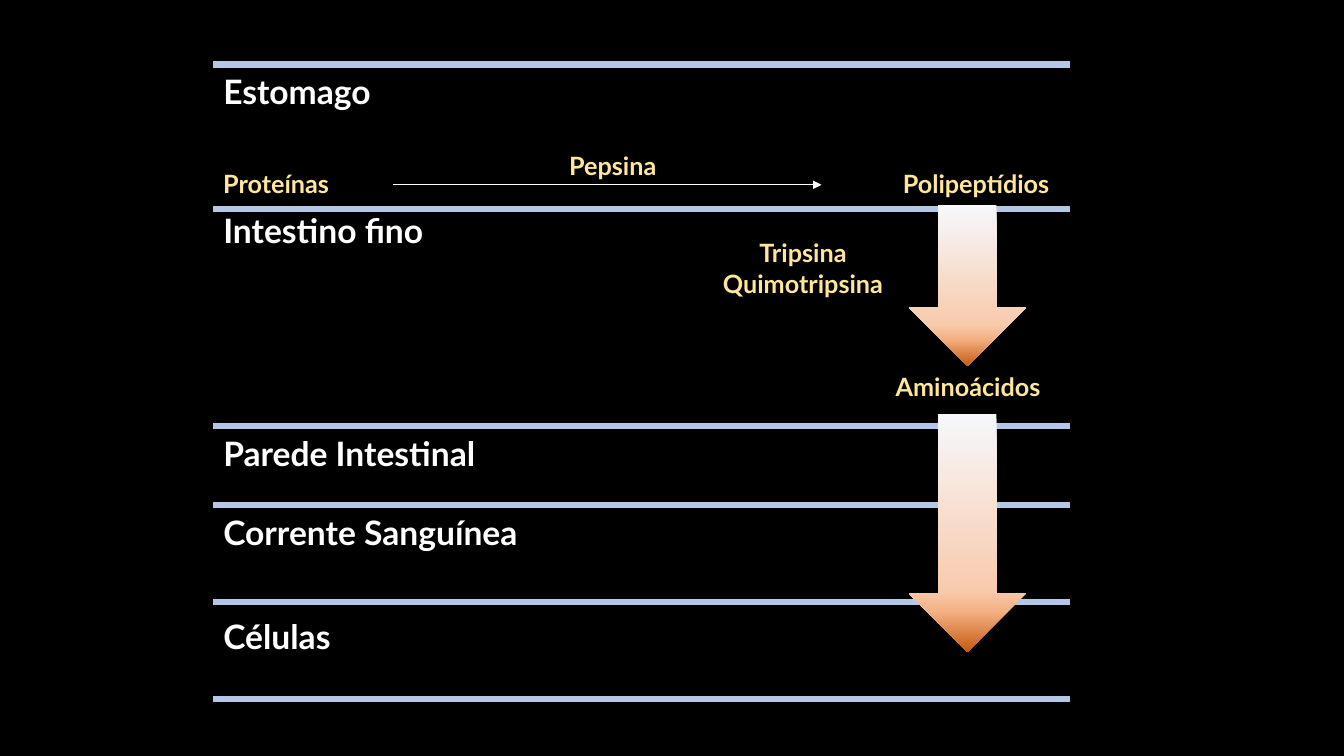
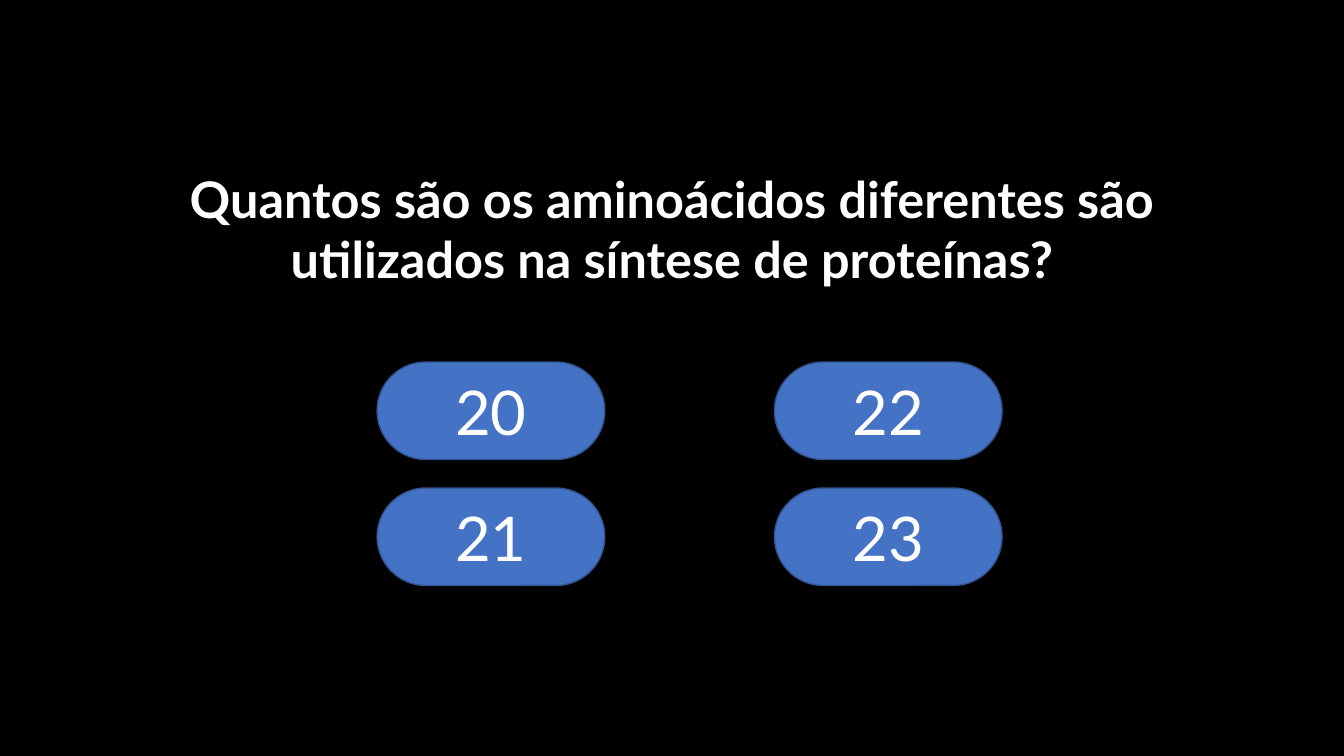
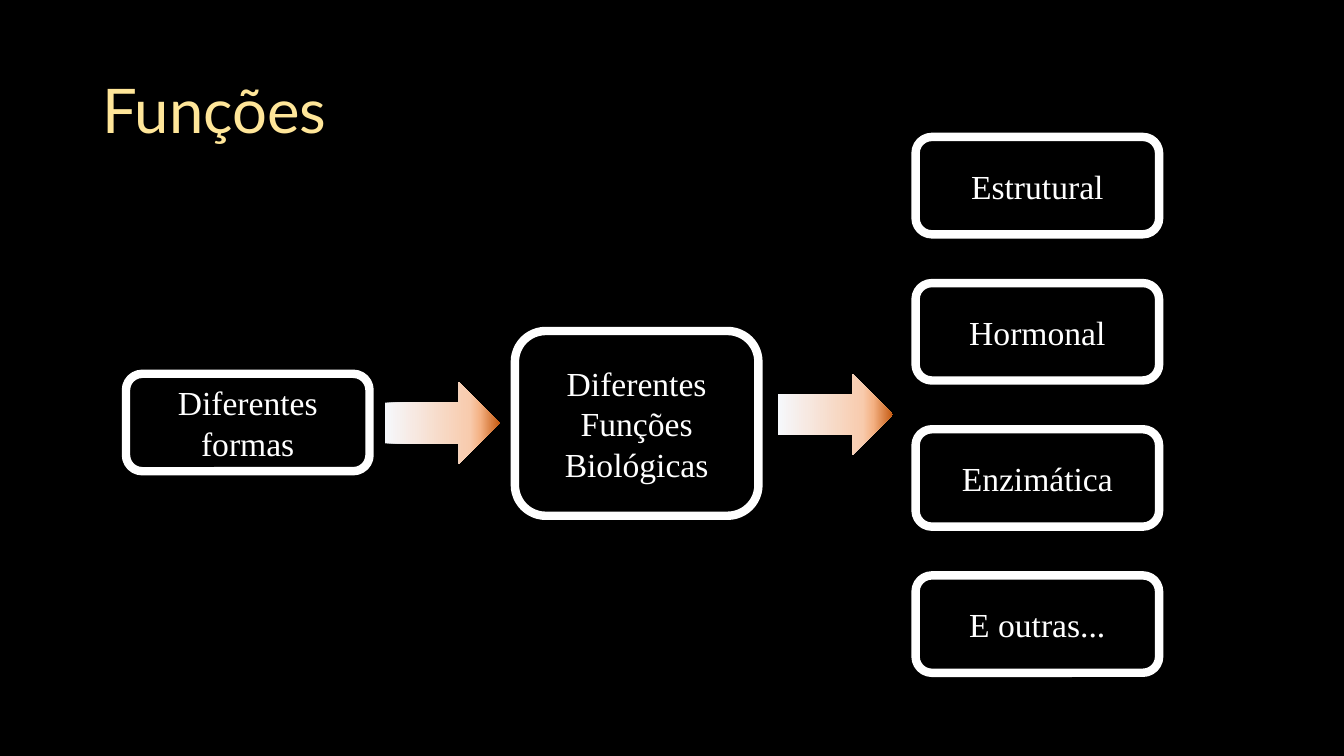
from dataclasses import dataclass
from typing import NamedTuple

from pptx import Presentation
from pptx.dml.color import RGBColor as Rgb
from pptx.enum.shapes import MSO_CONNECTOR as Link, MSO_SHAPE as Form
from pptx.enum.text import MSO_ANCHOR as Anchor, PP_ALIGN as Align
from pptx.oxml import parse_xml
from pptx.oxml.ns import nsdecls, qn
from pptx.util import Emu, Inches, Pt

CELL = Inches(1) // 12  # the slide is a grid of square cells
COLS, ROWS = 160, 90


@dataclass(frozen=True)
class Theme:
    back: str = "000000"
    white: str = "FFFFFF"
    gold: str = "FFE699"
    rule: str = "B4C7E7"
    blue: str = "4472C4"
    edge: str = "325491"
    fade: tuple = ((0, "F6F8FC"), (74, "F8CBAD"), (83, "F4B183"), (100, "C55A11"))
    sans: str = "Lato"
    serif: str = "Times New Roman"
    big: int = 44
    ask: int = 36
    head: int = 24
    note: int = 18


T = Theme()


class Box(NamedTuple):
    """A region of the slide, in grid cells."""
    x: float
    y: float
    w: float
    h: float

    def inner(self, x, y, w, h):
        return Box(self.x + x, self.y + y, w, h)

    def emu(self):
        return [Emu(round(v * CELL)) for v in self]


PAGE = Box(0, 0, COLS, ROWS)


def write(shape, text, size=T.note, color=T.white, font=T.sans, bold=False,
          align=Align.LEFT, anchor=Anchor.TOP, pitch=1.0):
    frame = shape.text_frame
    frame.word_wrap = True
    frame.vertical_anchor = anchor
    frame.text = text
    for para in frame.paragraphs:
        para.alignment = align
        para.line_spacing = pitch
        face = para.font
        face.name, face.size, face.bold = font, Pt(size), bold
        face.color.rgb = Rgb.from_string(color)


def label(slide, box, text, **style):
    write(slide.shapes.add_textbox(*box.emu()), text, **style)


def panel(slide, box, text, fill, edge, width, round_by=None, **style):
    shape = slide.shapes.add_shape(Form.ROUNDED_RECTANGLE, *box.emu())
    shape.shadow.inherit = False
    if round_by is not None:
        shape.adjustments[0] = round_by
    shape.fill.solid()
    shape.fill.fore_color.rgb = Rgb.from_string(fill)
    shape.line.color.rgb = Rgb.from_string(edge)
    shape.line.width = Pt(width)
    write(shape, text, align=Align.CENTER, anchor=Anchor.MIDDLE, **style)


def line(slide, box, color, width, tip=False):
    x, y, w, h = box.emu()
    link = slide.shapes.add_connector(Link.STRAIGHT, x, y, x + w, y + h)
    link.line.color.rgb = Rgb.from_string(color)
    link.line.width = Pt(width)
    props = link._element.spPr
    if tip:
        props.find(qn("a:ln")).append(
            parse_xml(f'<a:tailEnd {nsdecls("a")} type="triangle"/>'))
    props.append(parse_xml(f'<a:effectLst {nsdecls("a")}/>'))


def arrow(slide, box, down=False):
    """Draw a faded block arrow that fills the box, pointing right or down."""
    if down:
        turn = (box.w - box.h) / 2
        box = box.inner(turn, -turn, box.h, box.w)
    shape = slide.shapes.add_shape(Form.RIGHT_ARROW, *box.emu())
    shape.rotation = 90 if down else 0
    shape.shadow.inherit = False
    shape.line.fill.background()
    shape.fill.background()
    stops = "".join(f'<a:gs pos="{at * 1000}"><a:srgbClr val="{color}"/></a:gs>'
                    for at, color in T.fade)
    props = shape._element.spPr
    props.replace(props.find(qn("a:noFill")), parse_xml(
        f'<a:gradFill {nsdecls("a")} rotWithShape="1"><a:gsLst>{stops}</a:gsLst>'
        '<a:lin ang="0" scaled="0"/></a:gradFill>'))


def stages(slide, box):
    """Rule off the organs, with each name under its own rule."""
    rows = ((0, 0.7, "Estomago"), (17.2, 0, "Intestino fino"),
            (43, 0.8, "Parede Intestinal"), (52.4, 0.8, "Corrente Sanguínea"),
            (64, 1.6, "Células"))
    for y, gap, name in rows:
        line(slide, box.inner(0, y, box.w, 0), T.rule, 4.5)
        label(slide, box.inner(0, y + gap, 39, 7), name,
              size=T.head, bold=True, pitch=0.9)
    line(slide, box.inner(0, box.h, box.w, 0), T.rule, 4.5)


def steps(slide, box):
    """Lay the chain of digestion over the organs."""
    arrow(slide, box.inner(82.8, 16.7, 13.9, 19.2), down=True)
    arrow(slide, box.inner(82.8, 41.6, 13.9, 28.3), down=True)
    line(slide, box.inner(21.4, 14.3, 51, 0), T.white, 0.5, tip=True)
    notes = ((0, 11.8, 17.5, Align.LEFT, "Proteínas"),
             (38.8, 9.6, 17.5, Align.CENTER, "Pepsina"),
             (74.2, 11.8, 26.5, Align.RIGHT, "Polipeptídios"),
             (58.9, 20, 22.6, Align.CENTER, "Tripsina\nQuimotripsina"),
             (76.6, 35.9, 26.5, Align.CENTER, "Aminoácidos"))
    for x, y, w, align, text in notes:
        high = 4.8 + 3.7 * text.count("\n")
        label(slide, box.inner(x, y, w, high), text,
              color=T.gold, bold=True, align=align)


def digest(slide, box):
    chart = box.inner(25.4, 7.7, 102, 75.5)
    stages(slide, chart)
    steps(slide, chart)


def quiz(slide, box):
    label(slide, box.inner(15.4, 19.4, 129.2, 15.7),
          "Quantos são os aminoácidos diferentes são utilizados na síntese de proteínas?",
          size=T.ask, bold=True, align=Align.CENTER)
    picks = box.inner(44.9, 43.1, 74.4, 26.6)
    for i, text in enumerate(("20", "21", "22", "23")):
        col, row = divmod(i, 2)
        panel(slide, picks.inner(col * 47.3, row * 15, 27.1, 11.6), text,
              T.blue, T.edge, 1, round_by=0.5, size=T.big)


def card(slide, box, text):
    panel(slide, box, text, T.back, T.white, 6, size=T.head, font=T.serif)


def roles(slide, box):
    label(slide, box.inner(11, 4.8, 138, 17.4), "Funções", size=T.big,
          color=T.gold, anchor=Anchor.MIDDLE, pitch=0.9)
    wide, high = 29, 11.6
    card(slide, box.inner(15, 44.5, wide, high), "Diferentes formas")
    arrow(slide, box.inner(45.8, 45.5, 13.7, 9.7))
    card(slide, box.inner(61.3, 39.4, wide, 22), "Diferentes Funções\nBiológicas")
    arrow(slide, box.inner(92.6, 44.5, 13.7, 9.7))
    for i, text in enumerate(("Estrutural", "Hormonal", "Enzimática", "E outras...")):
        card(slide, box.inner(109, 16.3 + i * 17.4, wide, high), text)


def main():
    deck = Presentation()
    deck.slide_width, deck.slide_height = COLS * CELL, ROWS * CELL
    fill = deck.slide_master.background.fill
    fill.solid()
    fill.fore_color.rgb = Rgb.from_string(T.back)
    for draw in (digest, quiz, roles):
        draw(deck.slides.add_slide(deck.slide_layouts[6]), PAGE)
    deck.save("out.pptx")


if __name__ == "__main__":
    main()
